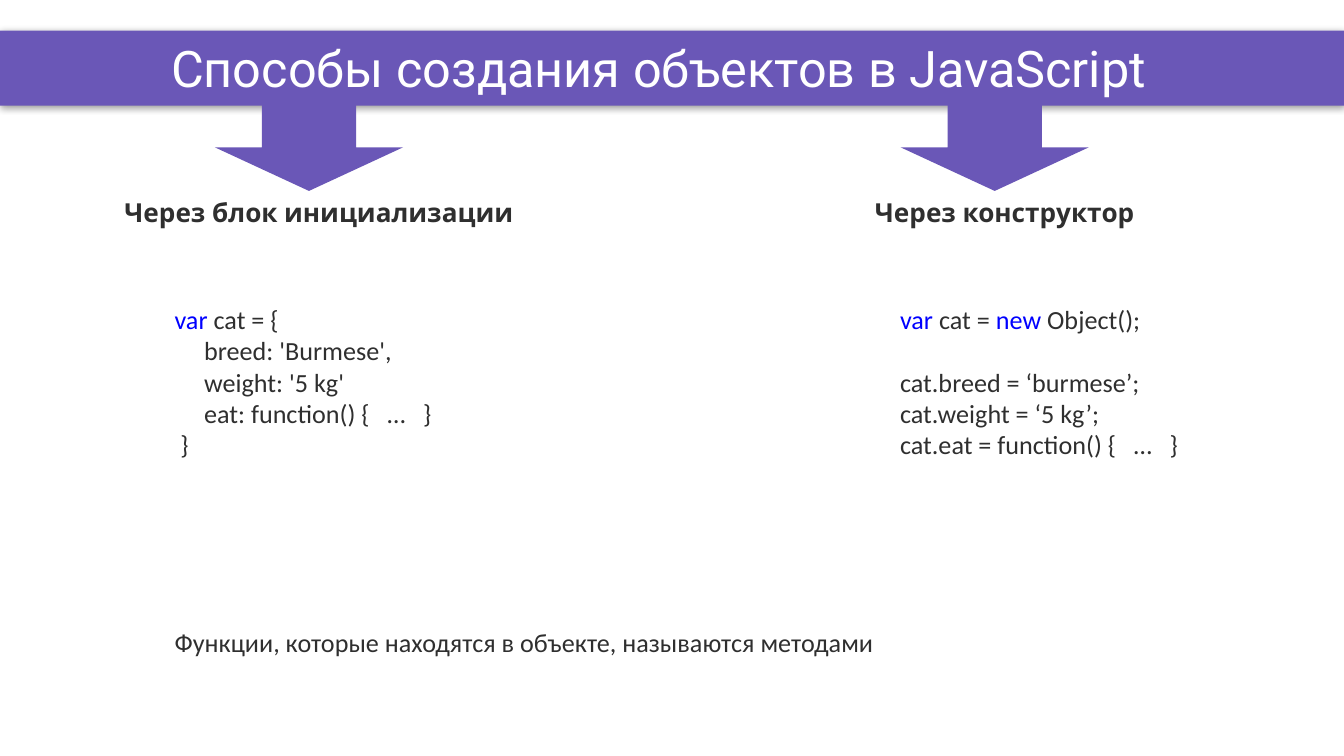
from lxml import etree
from pptx import Presentation
from pptx.dml.color import RGBColor
from pptx.enum import shapes, text
from pptx.oxml.ns import qn
from pptx.util import Cm, Pt

PURPLE = RGBColor(0x6A, 0x57, 0xB7)
DARK = RGBColor(0x2F, 0x2F, 0x2F)
KEYWORD = RGBColor(0x00, 0x00, 0xFF)
WHITE = RGBColor(0xFF, 0xFF, 0xFF)

INITIALIZER_CODE = [
    "*var* cat = {",
    "     breed: 'Burmese',",
    "     weight: '5 kg'",
    "     eat: function() {   …   }",
    " }",
]
CONSTRUCTOR_CODE = [
    "*var* cat = *new* Object();",
    "",
    "cat.breed = ‘burmese’;",
    "cat.weight = ‘5 kg’;",
    "cat.eat = function() {   …   }",
]


def write(frame, lines, size=14, font="Calibri", color=DARK, bold=False,
          align=text.PP_ALIGN.LEFT):
    """Fill the frame, one paragraph a line; *words* in asterisks are keywords."""
    frame.word_wrap = True
    for number, line in enumerate(lines):
        paragraph = frame.add_paragraph() if number else frame.paragraphs[0]
        paragraph.alignment = align
        for index, piece in enumerate(line.split("*")):
            if piece:
                run = paragraph.add_run()
                run.text = piece
                run.font.name = font
                run.font.size = Pt(size)
                run.font.bold = bold
                run.font.color.rgb = KEYWORD if index % 2 else color
        if not line:
            paragraph._p.get_or_add_endParaRPr().set("sz", str(size * 100))


def add_filled_shape(slide, kind, left, top, width, height):
    shape = slide.shapes.add_shape(kind, Cm(left), Cm(top), Cm(width), Cm(height))
    shape.shadow.inherit = False
    shape.fill.solid()
    shape.fill.fore_color.rgb = PURPLE
    shape.line.fill.background()
    return shape


def add_text(slide, lines, left, top, width, height, **style):
    box = slide.shapes.add_textbox(Cm(left), Cm(top), Cm(width), Cm(height))
    write(box.text_frame, lines, **style)


def add_soft_shadow(shape):
    effects = shape._element.spPr.find(qn("a:effectLst"))
    shadow = etree.SubElement(
        effects, qn("a:outerShdw"), blurRad=str(Pt(4)), dist=str(Pt(1)),
        dir="5400000", algn="t", rotWithShape="0")
    black = etree.SubElement(shadow, qn("a:srgbClr"), val="000000")
    etree.SubElement(black, qn("a:alpha"), val="40000")


def add_title_band(slide, title_text):
    band = add_filled_shape(slide, shapes.MSO_SHAPE.RECTANGLE, 0, 0.58, 25.4, 1.42)
    add_soft_shadow(band)
    title = slide.shapes.title
    title.left, title.top = Cm(1.02), Cm(0.58)
    title.width, title.height = Cm(22.86), Cm(1.37)
    title.text_frame.auto_size = text.MSO_AUTO_SIZE.NONE
    title.text_frame.vertical_anchor = text.MSO_ANCHOR.MIDDLE
    write(title.text_frame, [title_text], size=27, font="Roboto", color=WHITE,
          align=text.PP_ALIGN.CENTER)
    band._element.addnext(title._element)


def add_method(slide, heading, code, arrow_left, heading_left, heading_width,
               code_left, code_width):
    add_filled_shape(slide, shapes.MSO_SHAPE.DOWN_ARROW, arrow_left, 1.96, 3.56, 1.65)
    add_text(slide, [heading], heading_left, 3.58, heading_width, 0.86,
             font="Karla", bold=True, align=text.PP_ALIGN.CENTER)
    add_text(slide, code, code_left, 5.61, code_width, 3.25)


def main():
    presentation = Presentation()
    presentation.slide_width, presentation.slide_height = Cm(25.4), Cm(14.29)
    slide = presentation.slides.add_slide(presentation.slide_layouts[5])

    add_title_band(slide, "Способы создания объектов в JavaScript")
    add_method(slide, "Через блок инициализации ", INITIALIZER_CODE,
               arrow_left=4.06, heading_left=1.52, heading_width=9.14,
               code_left=3.05, code_width=8.13)
    add_method(slide, "Через конструктор ", CONSTRUCTOR_CODE,
               arrow_left=17.02, heading_left=15.75, heading_width=6.6,
               code_left=16.76, code_width=6.6)
    add_text(slide, ["Функции, которые находятся в объекте, называются методами"],
             3.05, 11.71, 20.83, 0.86)

    presentation.save("out.pptx")


if __name__ == "__main__":
    main()
